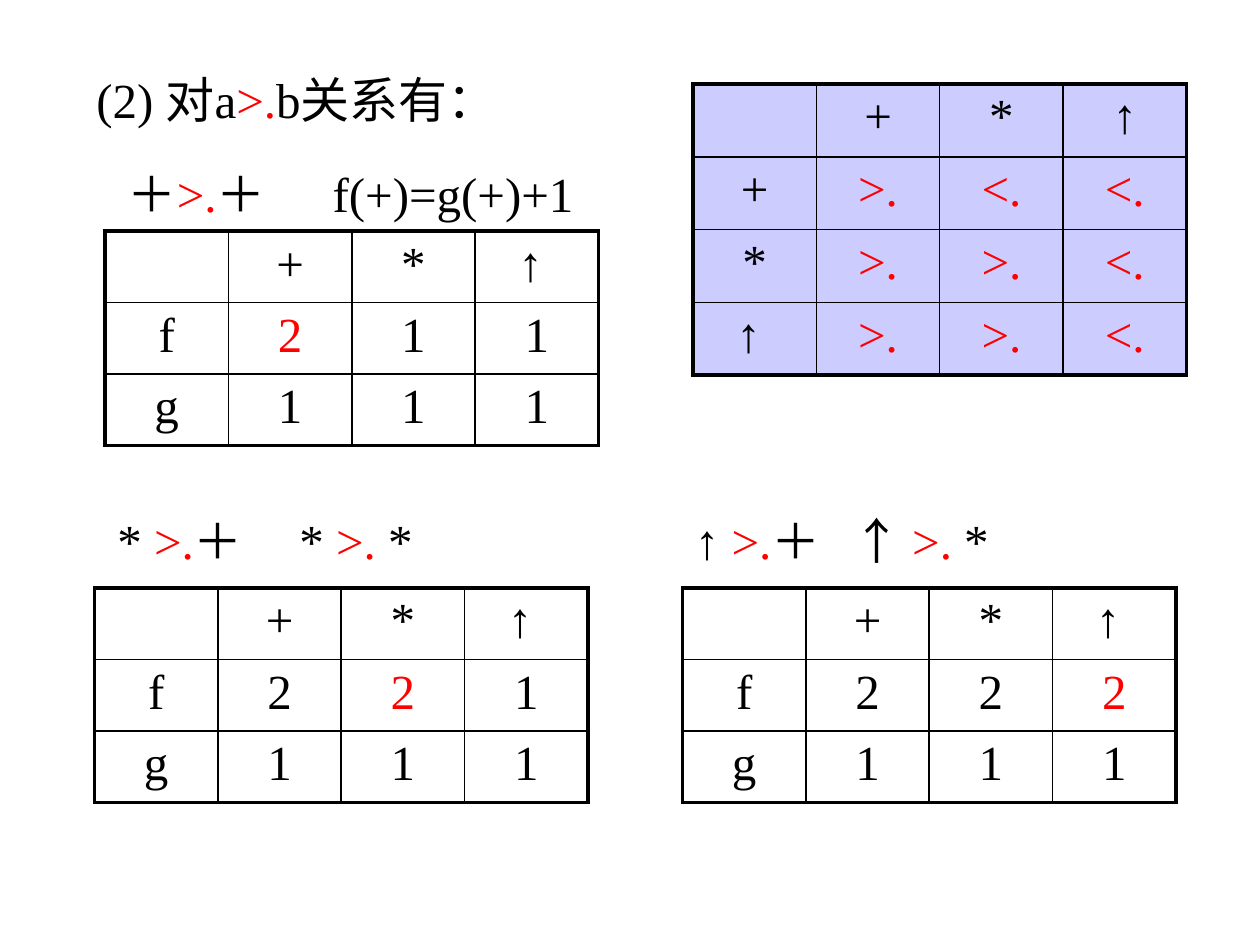
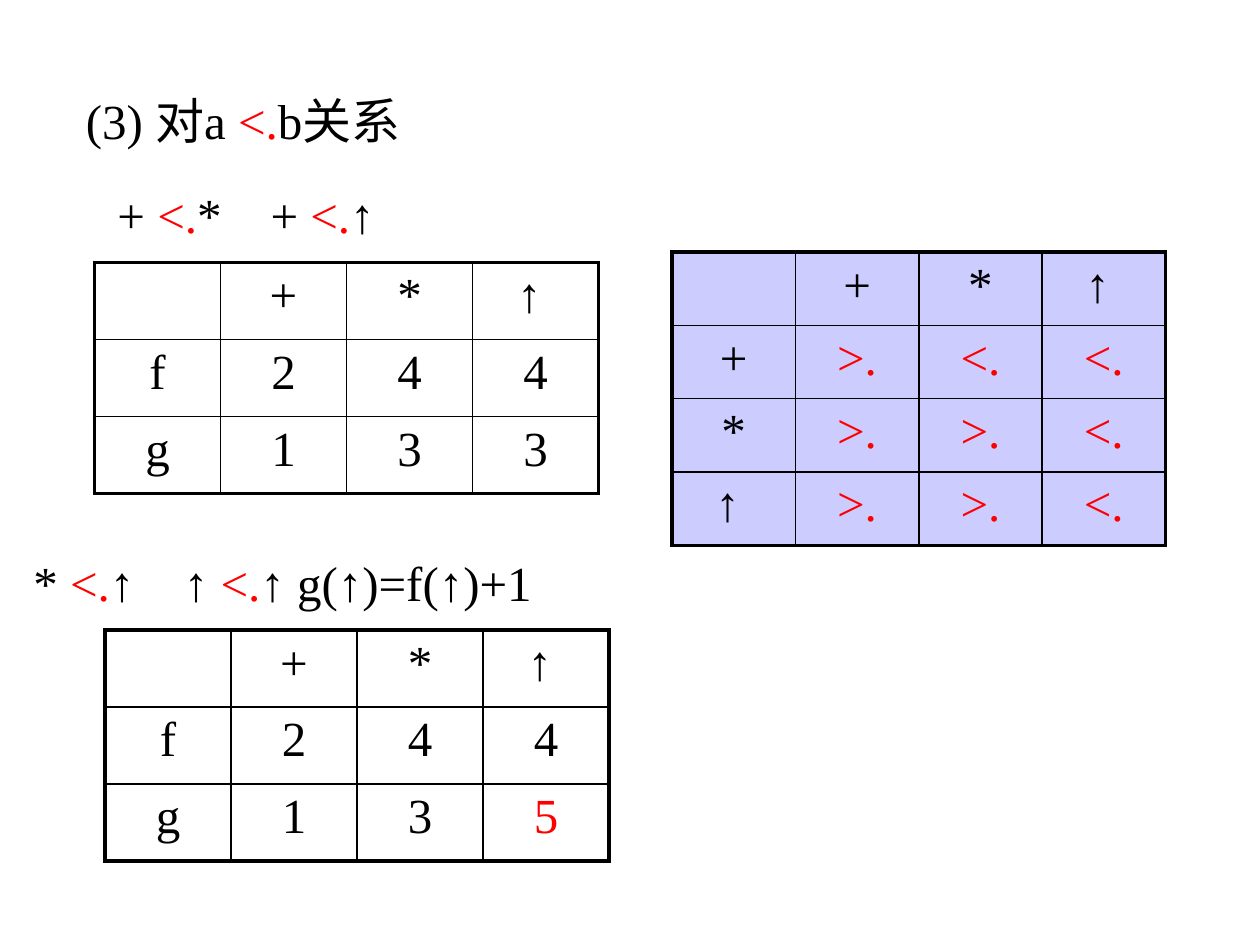
import pptx
import pptx.dml.color
import pptx.enum.text
import pptx.oxml.ns
import pptx.util
from lxml import etree

Pt = pptx.util.Pt
qn = pptx.oxml.ns.qn

COLORS = {"text": "000000", "mark": "FF0000", "border": "000000", "relation": "CCCCFF"}
FONT = "Times New Roman"
FONT_SIZE = 28
OUTER, INNER = 2.25, 1
LINE_HEIGHT = 41

# Precedence relations; text between bars is marked in red
RELATIONS = [
    ["+", "|>.|", "|<.|", "|<.|"],
    ["*", "|>.|", "|>.|", "|<.|"],
    ["↑ ", "|>.|", "|>.|", "|<.|"],
]


def rgb(name):
    return pptx.dml.color.RGBColor.from_string(COLORS[name])


def add_runs(p, text):
    """Add text run by run; every second part between bars is red."""
    for i, part in enumerate(text.split("|")):
        if part:
            r = p.add_run()
            r.text = part
            r.font.name = FONT
            r.font.size = Pt(FONT_SIZE)
            r.font.color.rgb = rgb("mark" if i % 2 else "text")


def add_line(s, left, top, width, text, tab=None):
    """Add one line of text, with an optional tab stop."""
    sp = s.shapes.add_textbox(Pt(left), Pt(top), Pt(width), Pt(LINE_HEIGHT))
    tf = sp.text_frame
    tf.word_wrap = True
    tf.auto_size = pptx.enum.text.MSO_AUTO_SIZE.SHAPE_TO_FIT_TEXT
    p = tf.paragraphs[0]
    if tab:
        tabs = etree.SubElement(p._p.get_or_add_pPr(), qn("a:tabLst"))
        etree.SubElement(tabs, qn("a:tab"), pos=str(Pt(tab)), algn="l")
    add_runs(p, text)


def set_borders(cell, widths):
    tc_pr = cell._tc.get_or_add_tcPr()
    for side, width in widths.items():
        ln = etree.SubElement(tc_pr, qn(f"a:ln{side}"), w=str(Pt(width)))
        fill = etree.SubElement(ln, qn("a:solidFill"))
        etree.SubElement(fill, qn("a:srgbClr"), val=COLORS["border"])


def add_grid(s, left, top, width, row_height, rows, fill=None):
    """Add a table with a thick frame and thin inner lines."""
    n_rows, n_cols = len(rows), len(rows[0])
    frame = s.shapes.add_table(n_rows, n_cols, Pt(left), Pt(top),
                               Pt(width), Pt(row_height * n_rows))
    table = frame.table
    table.first_row = table.horz_banding = False
    for i, row in enumerate(rows):
        table.rows[i].height = Pt(row_height)
        for j, text in enumerate(row):
            cell = table.cell(i, j)
            set_borders(cell, {
                "L": OUTER if j == 0 else INNER,
                "R": OUTER if j == n_cols - 1 else INNER,
                "T": OUTER if i == 0 else INNER,
                "B": OUTER if i == n_rows - 1 else INNER,
            })
            if fill:
                cell.fill.solid()
                cell.fill.fore_color.rgb = rgb(fill)
            else:
                cell.fill.background()
            p = cell.text_frame.paragraphs[0]
            p.alignment = pptx.enum.text.PP_ALIGN.CENTER
            add_runs(p, text)


def add_relations(s, left, top, row_height, arrow):
    header = ["", "+", "*", arrow]
    add_grid(s, left, top, 282, row_height, [header] + RELATIONS, "relation")


def add_functions(s, left, top, width, row_height, f, g):
    """Add a table of the values of f and g."""
    rows = [["", "+", "*", "↑ "], ["f"] + f.split(), ["g"] + g.split()]
    add_grid(s, left, top, width, row_height, rows)


def build_greater(s):
    add_relations(s, 396, 48, 41.6, "↑")
    add_line(s, 48, 36, 288, "(2) 对a|>.|b关系有：")

    # + >. +
    add_line(s, 66, 90, 276, "＋|>.|＋\tf(+)=g(+)+1", tab=117)
    add_functions(s, 60, 132, 282, 40.8, "|2| 1 1", "1 1 1")

    # * >. + and * >. *
    add_line(s, 60, 288, 228, "* |>.|＋\t* |>. |*", tab=104)
    add_functions(s, 54, 336, 282, 40.8, "2 |2| 1", "1 1 1")

    # ↑ >. + and ↑ >. *
    add_line(s, 390, 288, 216, "↑ |>.|＋\t↑ |>. |*", tab=90)
    add_functions(s, 390, 336, 282, 40.8, "2 2 |2|", "1 1 1")


def build_less(s):
    add_relations(s, 384, 144, 41.9, "↑ ")
    add_line(s, 42, 48, 258, "(3) 对a |<.|b关系")

    # + <. * and + <. ↑
    add_line(s, 60, 102, 228, "+ |<.|*\t+ |<.|↑", tab=87.5)
    add_functions(s, 54, 150, 288, 44, "2 4 4", "1 3 3")

    # * <. ↑ and ↑ <. ↑
    add_line(s, 12, 312, 348, "* |<.|↑\t↑ |<.|↑ g(↑)=f(↑)+1", tab=86)
    add_functions(s, 60, 360, 288, 44, "2 4 4", "1 3 |5|")


def main():
    prs = pptx.Presentation()
    prs.slide_width, prs.slide_height = Pt(720), Pt(540)
    for build in (build_greater, build_less):
        build(prs.slides.add_slide(prs.slide_layouts[6]))
    prs.save("out.pptx")


if __name__ == "__main__":
    main()
